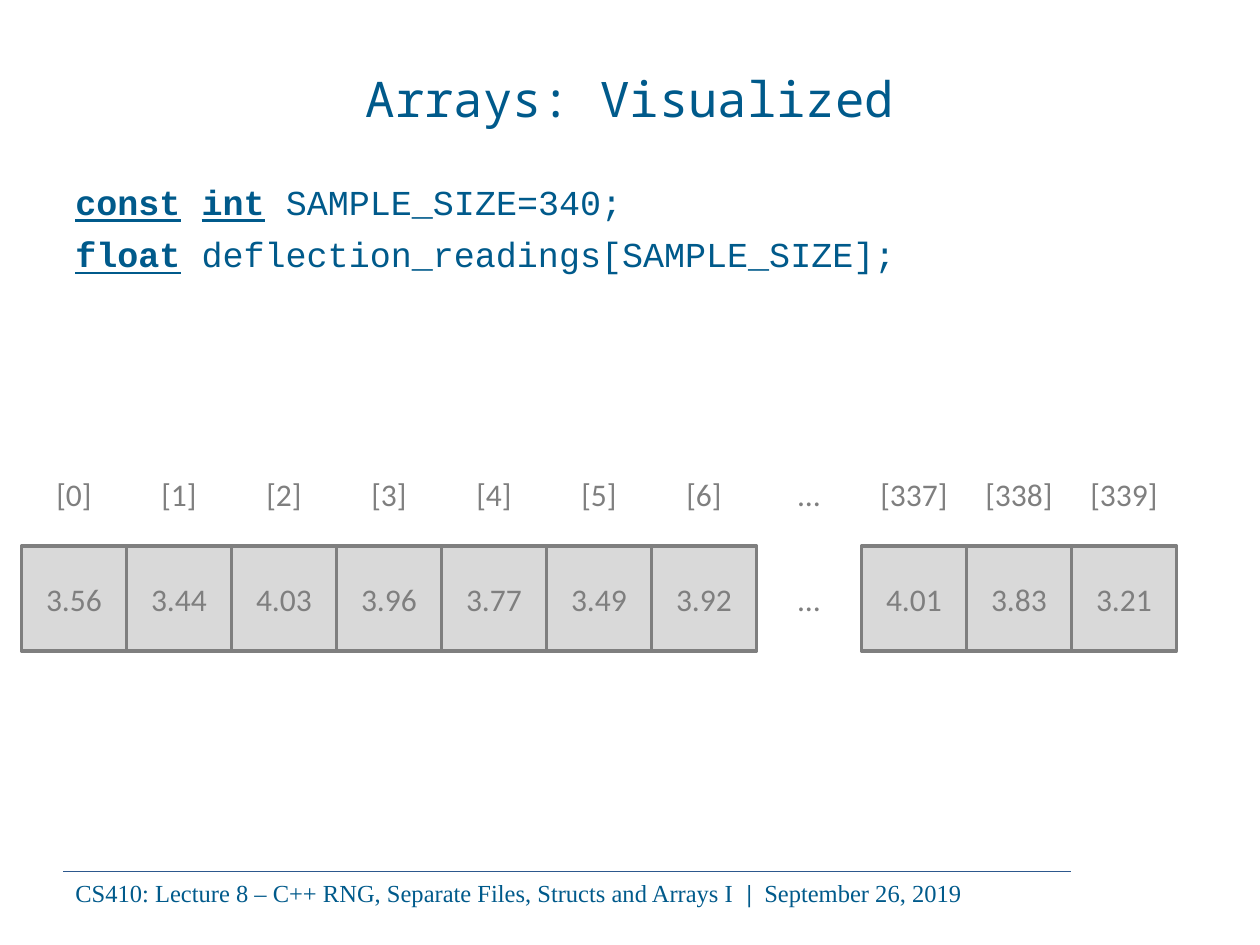
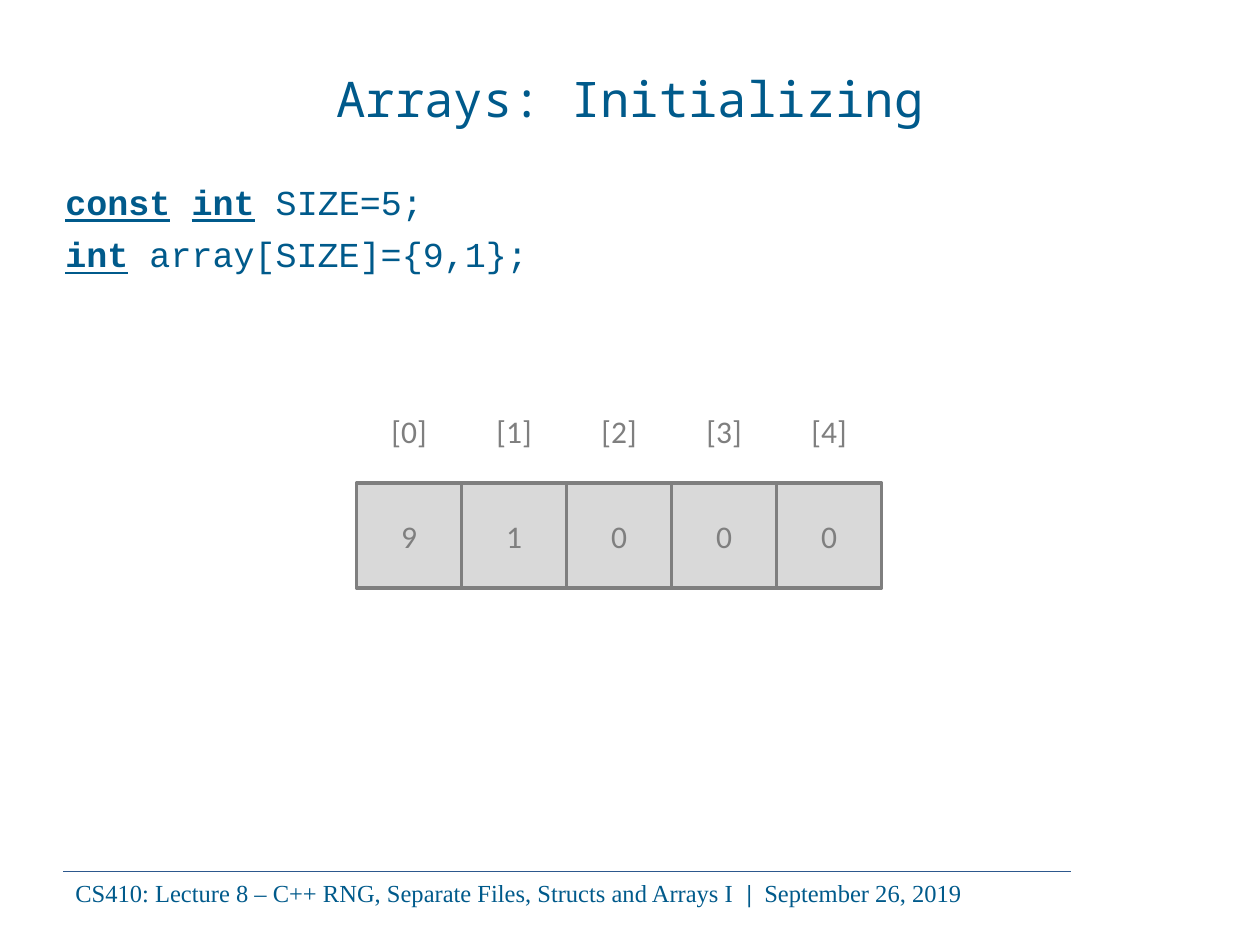
"""Builds two lecture slides that draw C++ arrays as rows of indexed cells."""
from dataclasses import dataclass

from lxml.etree import SubElement
from pptx import Presentation
from pptx.dml.color import RGBColor
from pptx.enum.shapes import MSO_CONNECTOR, MSO_SHAPE
from pptx.enum.text import MSO_ANCHOR, MSO_AUTO_SIZE, PP_ALIGN
from pptx.oxml.ns import qn
from pptx.slide import Slide
from pptx.text.text import TextFrame, _Paragraph, _Run
from pptx.util import Inches, Length, Pt


@dataclass(frozen=True)
class TextStyle:
    font: str
    size: Length
    color: RGBColor


BLUE = RGBColor(0x00, 0x5A, 0x8B)
GRAY = RGBColor(0x7F, 0x7F, 0x7F)


@dataclass(frozen=True)
class Theme:
    title: TextStyle = TextStyle("Noto Sans Mono", Pt(28), BLUE)
    code: TextStyle = TextStyle("Courier New", Pt(20), BLUE)
    cell: TextStyle = TextStyle("Calibri", Pt(18), GRAY)
    footer: TextStyle = TextStyle("Times New Roman", Pt(14), BLUE)
    cell_fill: RGBColor = RGBColor(0xD9, 0xD9, 0xD9)
    cell_line: RGBColor = GRAY
    rule: RGBColor = RGBColor(0x2D, 0x58, 0x8D)


@dataclass(frozen=True)
class Span:
    text: str
    strong: bool = False


@dataclass(frozen=True)
class ArrayRow:
    left: Length
    top: Length
    indexes: tuple[str, ...]
    values: tuple[str, ...]


@dataclass(frozen=True)
class ArrayPage:
    title: str
    code_left: Length
    code_width: Length
    code: tuple[tuple[Span, ...], ...]
    row: ArrayRow


THEME = Theme()
CELL_SIZE = Inches(5 / 6)
ELLIPSIS = "…"
CONST = Span("const", True)
INT = Span("int", True)
FLOAT = Span("float", True)
FOOTER = (
    Span("CS410: Lecture 8 – C++ RNG, Separate Files, Structs and Arrays I  "),
    Span("|  ", True),
    Span("September 26, 2019"),
)

PAGES = (
    ArrayPage(
        "Arrays: Visualized",
        Inches(0.5),
        Inches(8.58),
        (
            (CONST, Span(" "), INT, Span(" SAMPLE_SIZE=340;")),
            (FLOAT, Span(" deflection_readings[SAMPLE_SIZE];")),
        ),
        ArrayRow(
            Inches(0.17),
            Inches(3.5),
            (*(f"[{i}]" for i in range(7)), ELLIPSIS,
             *(f"[{i}]" for i in range(337, 340))),
            ("3.56", "3.44", "4.03", "3.96", "3.77", "3.49", "3.92",
             ELLIPSIS, "4.01", "3.83", "3.21"),
        ),
    ),
    ArrayPage(
        "Arrays: Initializing",
        Inches(0.42),
        Inches(9.08),
        (
            (CONST, Span(" "), INT, Span(" SIZE=5;")),
            (INT, Span(" array[SIZE]={9,1};")),
        ),
        ArrayRow(
            Inches(2.83),
            Inches(3),
            tuple(f"[{i}]" for i in range(5)),
            ("9", "1", "0", "0", "0"),
        ),
    ),
)


def format_run(run: _Run, style: TextStyle) -> None:
    run.font.name = style.font
    run.font.size = style.size
    run.font.color.rgb = style.color


def add_spans(para: _Paragraph, spans: tuple[Span, ...], style: TextStyle,
              underline: bool = False) -> None:
    for span in spans:
        run = para.add_run()
        run.text = span.text
        format_run(run, style)
        run.font.bold = span.strong
        run.font.underline = span.strong and underline


def set_centred(frame: TextFrame, text: str, style: TextStyle) -> None:
    frame.text = text
    frame.word_wrap = True
    frame.auto_size = MSO_AUTO_SIZE.NONE
    frame.vertical_anchor = MSO_ANCHOR.MIDDLE
    para = frame.paragraphs[0]
    para.alignment = PP_ALIGN.CENTER
    format_run(para.runs[0], style)


def add_title(page: Slide, text: str) -> None:
    title = page.shapes.title
    title.left, title.top = Inches(0.5), Inches(0.3)
    title.width, title.height = Inches(9), Inches(0.95)
    set_centred(title.text_frame, text, THEME.title)


def add_footer(page: Slide) -> None:
    left, top = Inches(0.5), Inches(6.92)
    rule = page.shapes.add_connector(
        MSO_CONNECTOR.STRAIGHT, left, top, Inches(8.5), top)
    rule.line.color.rgb = THEME.rule
    rule.line.width = Pt(0.5)
    SubElement(rule.element.spPr, qn("a:effectLst"))
    box = page.shapes.add_textbox(left, top, Inches(8.17), Inches(0.34))
    box.text_frame.word_wrap = True
    add_spans(box.text_frame.paragraphs[0], FOOTER, THEME.footer)


def add_code(page: Slide, content: ArrayPage) -> None:
    box = page.shapes.add_textbox(
        content.code_left, Inches(1.33), content.code_width, Inches(5.38))
    frame = box.text_frame
    frame.word_wrap = True
    frame.margin_top = Inches(0.1)
    for number, spans in enumerate(content.code):
        para = frame.add_paragraph() if number else frame.paragraphs[0]
        properties = para._p.get_or_add_pPr()
        properties.set("marL", str(Inches(0.38)))
        properties.set("indent", str(-Inches(0.38)))
        if number:
            para.space_before = Pt(6)
        add_spans(para, spans, THEME.code, underline=True)


def add_label(page: Slide, left: Length, top: Length, text: str) -> None:
    box = page.shapes.add_textbox(left, top, CELL_SIZE, CELL_SIZE)
    set_centred(box.text_frame, text, THEME.cell)


def add_cell(page: Slide, left: Length, top: Length, text: str) -> None:
    cell = page.shapes.add_shape(
        MSO_SHAPE.RECTANGLE, left, top, CELL_SIZE, CELL_SIZE)
    cell.shadow.inherit = False
    cell.fill.solid()
    cell.fill.fore_color.rgb = THEME.cell_fill
    cell.line.color.rgb = THEME.cell_line
    cell.line.width = Pt(2)
    set_centred(cell.text_frame, text, THEME.cell)


def add_array(page: Slide, row: ArrayRow) -> None:
    for column, (index, value) in enumerate(zip(row.indexes, row.values)):
        left = row.left + column * CELL_SIZE
        add_label(page, left, row.top, index)
        add_value = add_label if value == ELLIPSIS else add_cell
        add_value(page, left, row.top + CELL_SIZE, value)


def main() -> None:
    deck = Presentation()
    deck.slide_width, deck.slide_height = Inches(10), Inches(7.5)
    title_only = deck.slide_layouts.get_by_name("Title Only")
    for content in PAGES:
        page = deck.slides.add_slide(title_only)
        add_footer(page)
        add_title(page, content.title)
        add_code(page, content)
        add_array(page, content.row)
    deck.save("out.pptx")


if __name__ == "__main__":
    main()
